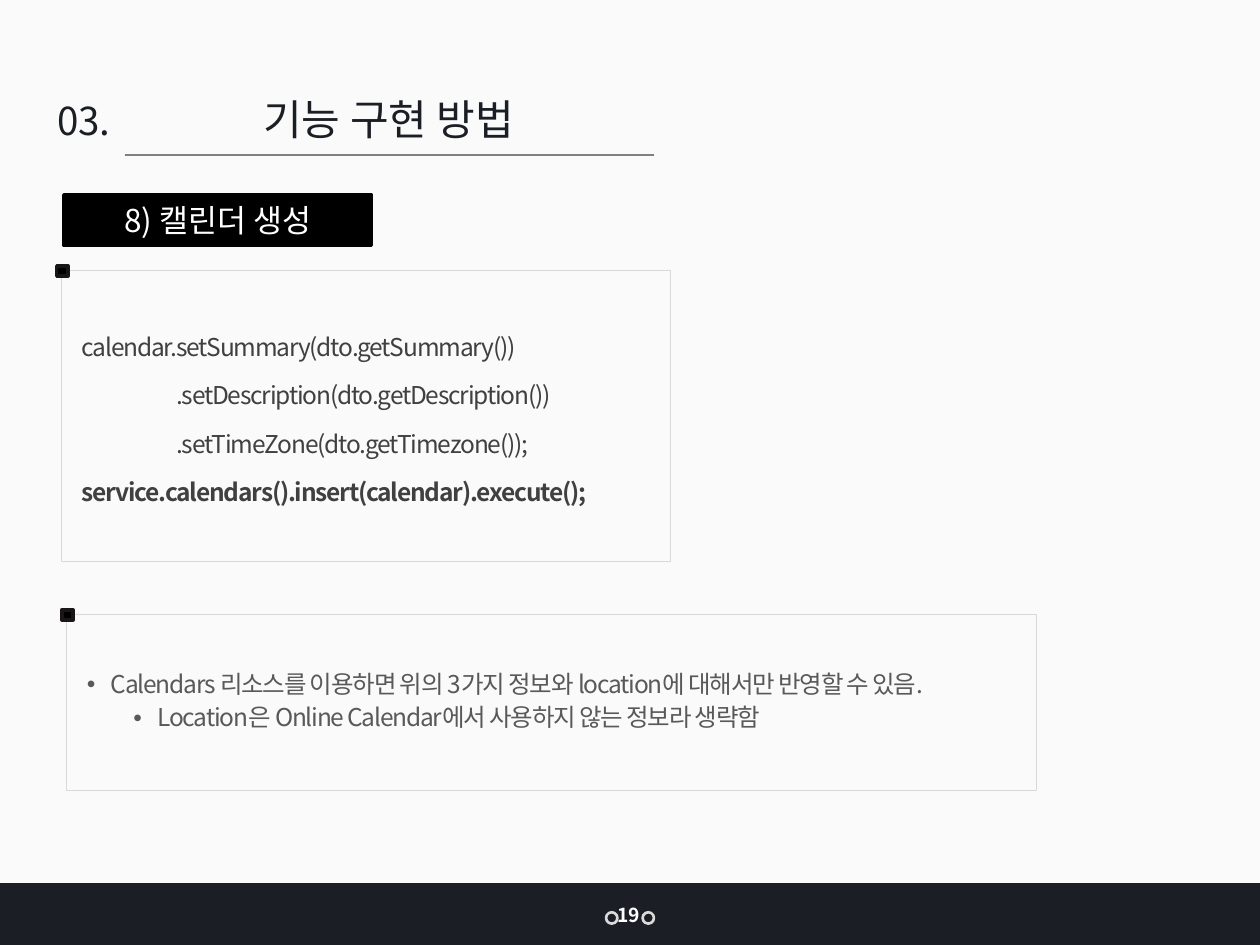
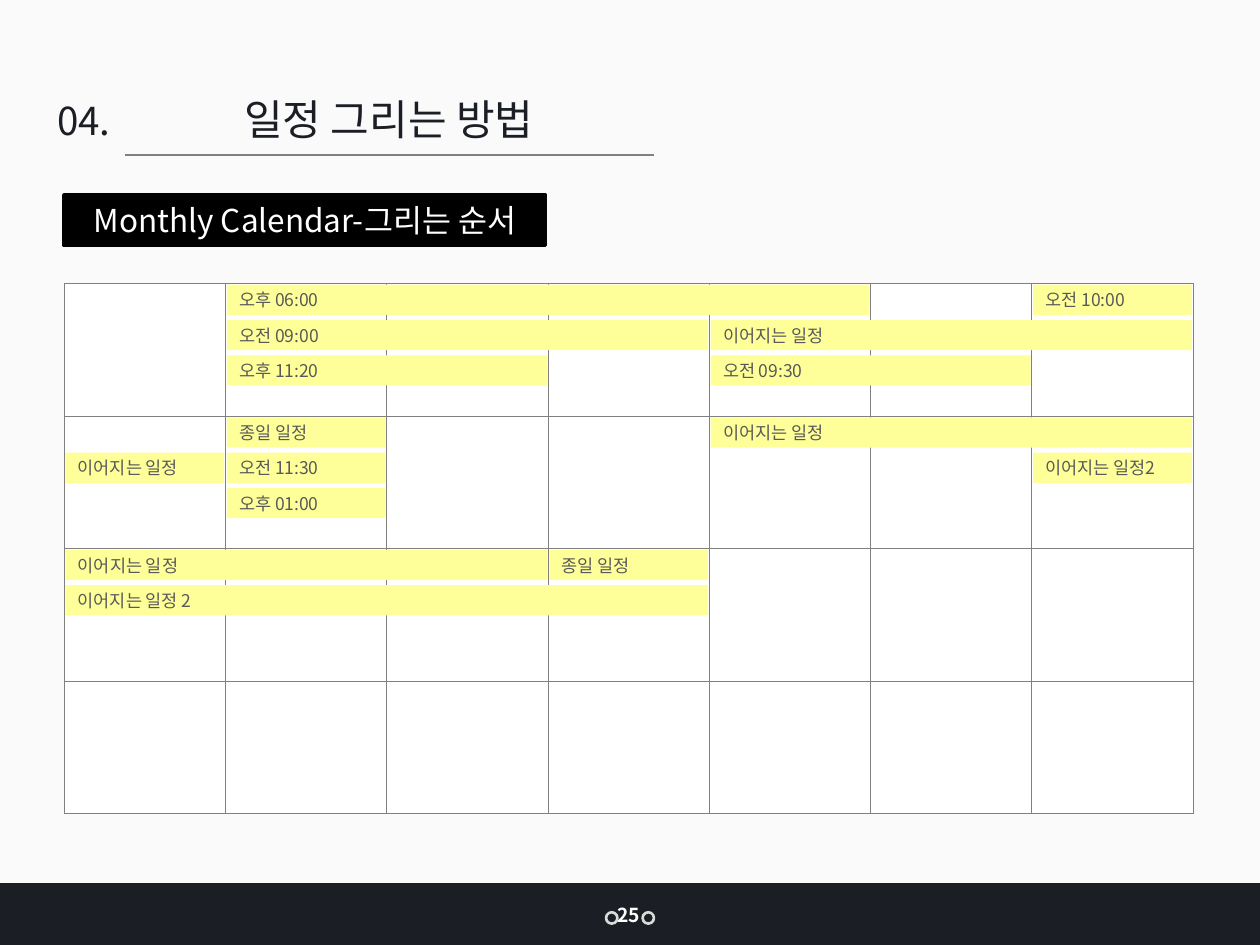
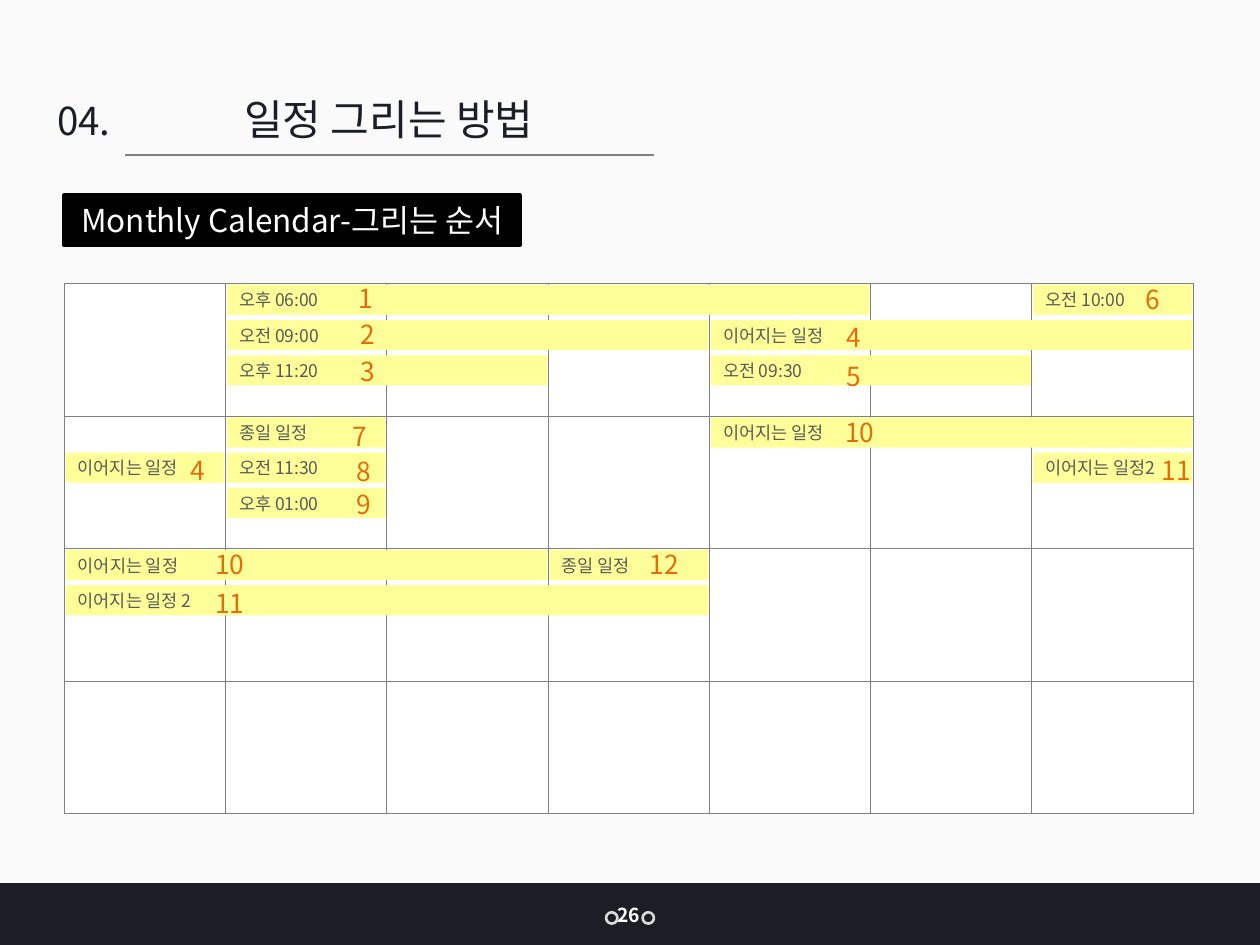
from collections import namedtuple
from dataclasses import dataclass

from lxml.etree import SubElement
from pptx import Presentation
from pptx.dml.color import RGBColor
from pptx.enum.shapes import MSO_CONNECTOR, MSO_SHAPE
from pptx.enum.text import MSO_ANCHOR, MSO_AUTO_SIZE, PP_ALIGN
from pptx.oxml.ns import qn
from pptx.util import Emu, Inches, Pt


@dataclass(frozen=True)
class Theme:
    font: str = "Noto Sans CJK KR"
    paper: str = "FAFAFA"
    ink: str = "1B1E25"
    black: str = "000000"
    white: str = "FFFFFF"
    rule: str = "808080"
    ring: str = "D8DBD7"
    frame: str = "D9D9D9"
    marker_edge: str = "1A1617"
    code: str = "404040"
    body: str = "595959"
    event: str = "FFFF99"
    order: str = "E46C0A"
    title_size: float = 24
    section_size: float = 22
    tag_size: float = 18
    order_size: float = 15
    body_size: float = 14
    page_size: float = 11
    event_size: float = 10


THEME = Theme()
COLUMNS, ROWS = 100, 75
UNIT = Inches(0.1)

Event = namedtuple("Event", "label week lane day days order shift")
CALENDAR_LEFT, CALENDAR_TOP = 5.1, 22.5
DAYS, WEEKS = 7, 4
DAY_WIDTH, WEEK_HEIGHT = 12.8, 42.1 / WEEKS
LANE_PITCH, BAR_HEIGHT, BAR_INSET = 2.8, 2.4, 0.1

EVENTS = [
    Event("오후 06:00", 0, 0, 1, 4, "1", (9.5, -0.7)),
    Event("오전 09:00", 0, 1, 1, 3, "2", (9.6, -0.6)),
    Event("오후 11:20", 0, 2, 1, 2, "3", (9.6, -0.5)),
    Event("이어지는 일정", 0, 1, 4, 3, "4", (9.8, -0.4)),
    Event("오전 09:30", 0, 2, 4, 2, "5", (9.8, -0.1)),
    Event("오전 10:00", 0, 0, 6, 1, "6", (7.9, -0.6)),
    Event("이어지는 일정", 1, 1, 0, 1, "4", (8.9, -0.4)),
    Event("종일 일정", 1, 0, 1, 1, "7", (9, -0.3)),
    Event("오전 11:30", 1, 1, 1, 1, "8", (9.3, -0.3)),
    Event("오후 01:00", 1, 2, 1, 1, "9", (9.3, -0.5)),
    Event("이어지는 일정", 1, 0, 4, 3, "10", (9.7, -0.6)),
    Event("이어지는 일정2", 1, 1, 6, 1, "11", (9.2, -0.4)),
    Event("이어지는 일정", 2, 0, 0, 3, "10", (10.9, -0.6)),
    Event("이어지는 일정 2", 2, 1, 0, 4, "11", (10.9, -0.3)),
    Event("종일 일정", 2, 0, 3, 1, "12", (7, -0.6)),
]

CODE_LINES = [
    "calendar.setSummary(dto.getSummary())",
    "\t.setDescription(dto.getDescription())",
    "\t.setTimeZone(dto.getTimezone());",
    "service.calendars().insert(calendar).execute();",
]
NOTES = [
    "Calendars 리소스를 이용하면 위의 3가지 정보와 location에 대해서만 반영할 수 있음.",
    "Location은 Online Calendar에서 사용하지 않는 정보라 생략함",
]
NOTE_INDENTS = [0.19, 0.56]
NOTE_GAPS = [7.5, 3.8]


def grid(*counts):
    return [Emu(round(count * UNIT)) for count in counts]


def rgb(color):
    return RGBColor.from_string(color)


def style_paragraph(paragraph, size, color, bold=False, align=PP_ALIGN.LEFT, spacing=None):
    paragraph.alignment = align
    for run in paragraph.runs:
        run.font.size = Pt(size)
        run.font.name = THEME.font
        run.font.bold = bold
        run.font.color.rgb = rgb(color)
        properties = run.font._element
        SubElement(properties, qn("a:ea"), typeface=THEME.font)
        if spacing is not None:
            properties.set("spc", str(round(spacing * 100)))


def add_block(shapes, kind, place, fill=None, edge=None, weight=0):
    block = shapes.add_shape(kind, *grid(*place))
    block.shadow.inherit = False
    if fill:
        block.fill.solid()
        block.fill.fore_color.rgb = rgb(fill)
    else:
        block.fill.background()
    if edge:
        block.line.color.rgb = rgb(edge)
        block.line.width = Pt(weight)
    else:
        block.line.fill.background()
    return block


def add_label(shapes, place, text, size, color, wrap=True, **style):
    label = shapes.add_textbox(*grid(*place))
    frame = label.text_frame
    frame.word_wrap = wrap
    frame.auto_size = MSO_AUTO_SIZE.SHAPE_TO_FIT_TEXT
    frame.text = text
    style_paragraph(frame.paragraphs[0], size, color, **style)


def add_rule(shapes, left, right, row):
    rule = shapes.add_connector(MSO_CONNECTOR.STRAIGHT, *grid(left, row, right, row))
    rule.line.color.rgb = rgb(THEME.rule)
    rule.line.width = Pt(0.75)
    SubElement(rule._element.spPr, qn("a:effectLst"))


def add_tag(shapes, text, width):
    tag = add_block(shapes, MSO_SHAPE.RECTANGLE, (5.1, 15.5, width, 4),
                    THEME.black, THEME.black, 2)
    frame = tag.text_frame
    frame.vertical_anchor = MSO_ANCHOR.TOP
    frame.auto_size = MSO_AUTO_SIZE.SHAPE_TO_FIT_TEXT
    frame.text = text
    style_paragraph(frame.paragraphs[0], THEME.tag_size, THEME.white, align=PP_ALIGN.CENTER)


def add_panel(shapes, place, lines, color):
    panel = add_block(shapes, MSO_SHAPE.RECTANGLE, place, edge=THEME.frame, weight=0.5)
    frame = panel.text_frame
    frame.margin_left = frame.margin_right = Inches(0.16)
    frame.vertical_anchor = MSO_ANCHOR.MIDDLE
    frame.text = "\n".join(lines)
    for paragraph in frame.paragraphs:
        style_paragraph(paragraph, THEME.body_size, color, spacing=-0.7)
    left, top = place[:2]
    add_block(shapes, MSO_SHAPE.RECTANGLE, (left - 0.4, top - 0.4, 0.9, 0.8),
              THEME.black, THEME.marker_edge, 2)
    return frame.paragraphs


def add_code_panel(shapes, place):
    for paragraph in add_panel(shapes, place, CODE_LINES, THEME.code):
        paragraph.line_spacing = 1.2
        paragraph.space_before = Pt(7.5)
        stops = SubElement(paragraph._p.get_or_add_pPr(), qn("a:tabLst"))
        SubElement(stops, qn("a:tab"), pos=str(Inches(0.75)), algn="l")
    paragraph.runs[0].font.bold = True


def add_notes_panel(shapes, place):
    paragraphs = add_panel(shapes, place, NOTES, THEME.body)
    for level, paragraph in enumerate(paragraphs):
        paragraph.level = level
        paragraph.line_spacing = 0.9
        paragraph.space_before = Pt(NOTE_GAPS[level])
        properties = paragraph._p.get_or_add_pPr()
        properties.set("marL", str(Inches(NOTE_INDENTS[level])))
        properties.set("indent", str(Inches(-0.19)))
        SubElement(properties, qn("a:buFont"), typeface="Arial")
        SubElement(properties, qn("a:buChar"), char="•")


def add_calendar(shapes):
    holder = shapes.add_table(WEEKS, DAYS, *grid(
        CALENDAR_LEFT, CALENDAR_TOP, DAYS * DAY_WIDTH, WEEKS * WEEK_HEIGHT))
    calendar = holder.table
    calendar.first_row = calendar.horz_banding = False
    for cell in calendar.iter_cells():
        properties = cell._tc.get_or_add_tcPr()
        for side in ("lnL", "lnR", "lnT", "lnB"):
            border = SubElement(properties, qn(f"a:{side}"), w=str(Pt(0.5)))
            paint = SubElement(border, qn("a:solidFill"))
            SubElement(paint, qn("a:srgbClr"), val=THEME.rule)
        cell.fill.solid()
        cell.fill.fore_color.rgb = rgb(THEME.white)


def add_event(shapes, event, numbered):
    if numbered:
        shapes = shapes.add_group_shape().shapes
    left = CALENDAR_LEFT + event.day * DAY_WIDTH + BAR_INSET
    top = CALENDAR_TOP + event.week * WEEK_HEIGHT + event.lane * LANE_PITCH + BAR_INSET
    width = event.days * DAY_WIDTH - 2 * BAR_INSET
    bar = add_block(shapes, MSO_SHAPE.RECTANGLE, (left, top, width, BAR_HEIGHT), THEME.event)
    frame = bar.text_frame
    frame.vertical_anchor = MSO_ANCHOR.MIDDLE
    frame.text = event.label
    style_paragraph(frame.paragraphs[0], THEME.event_size, THEME.body)
    if numbered:
        across, down = event.shift
        add_label(shapes, (left + across, top + down, 2.1 + 1.1 * len(event.order), 3.5),
                  event.order, THEME.order_size, THEME.order, wrap=False)


def add_page(deck, section, title, page):
    slide = deck.slides.add_slide(deck.slide_layouts[6])
    slide.background.fill.solid()
    slide.background.fill.fore_color.rgb = rgb(THEME.paper)
    shapes = slide.shapes
    add_block(shapes, MSO_SHAPE.RECTANGLE, (0, 70.1, COLUMNS, ROWS - 70.1), THEME.ink)
    rings = shapes.add_group_shape().shapes
    for left in (48.1, 51):
        add_block(rings, MSO_SHAPE.OVAL, (left, 72.4, 0.9, 0.9), THEME.ink, THEME.ring, 1.5)
    add_label(shapes, (7, 6.9, 47.7, 5), title, THEME.title_size, THEME.ink,
              align=PP_ALIGN.CENTER)
    add_rule(shapes, 9.9, 51.9, 12.3)
    add_label(shapes, (3, 7.2, 8, 4.7), section, THEME.section_size, THEME.ink,
              align=PP_ALIGN.CENTER)
    add_label(shapes, (48, 71.2, 3.9, 2.9), page, THEME.page_size, THEME.white,
              wrap=False, bold=True)
    return shapes


def add_calendar_page(deck, page, tag_width, numbered):
    shapes = add_page(deck, "04. ", "일정 그리는 방법", page)
    add_tag(shapes, "Monthly Calendar-그리는 순서", tag_width)
    add_calendar(shapes)
    for event in EVENTS:
        add_event(shapes, event, numbered)


def main():
    deck = Presentation()
    deck.slide_width, deck.slide_height = grid(COLUMNS, ROWS)
    shapes = add_page(deck, "03. ", "기능 구현 방법", "19")
    add_tag(shapes, "8) 캘린더 생성", 24.4)
    add_code_panel(shapes, (4.9, 21.5, 48.3, 23.1))
    add_notes_panel(shapes, (5.3, 48.8, 77, 13.9))
    add_calendar_page(deck, "25", 38.2, numbered=False)
    add_calendar_page(deck, "26", 36.2, numbered=True)
    deck.save("out.pptx")


if __name__ == "__main__":
    main()
